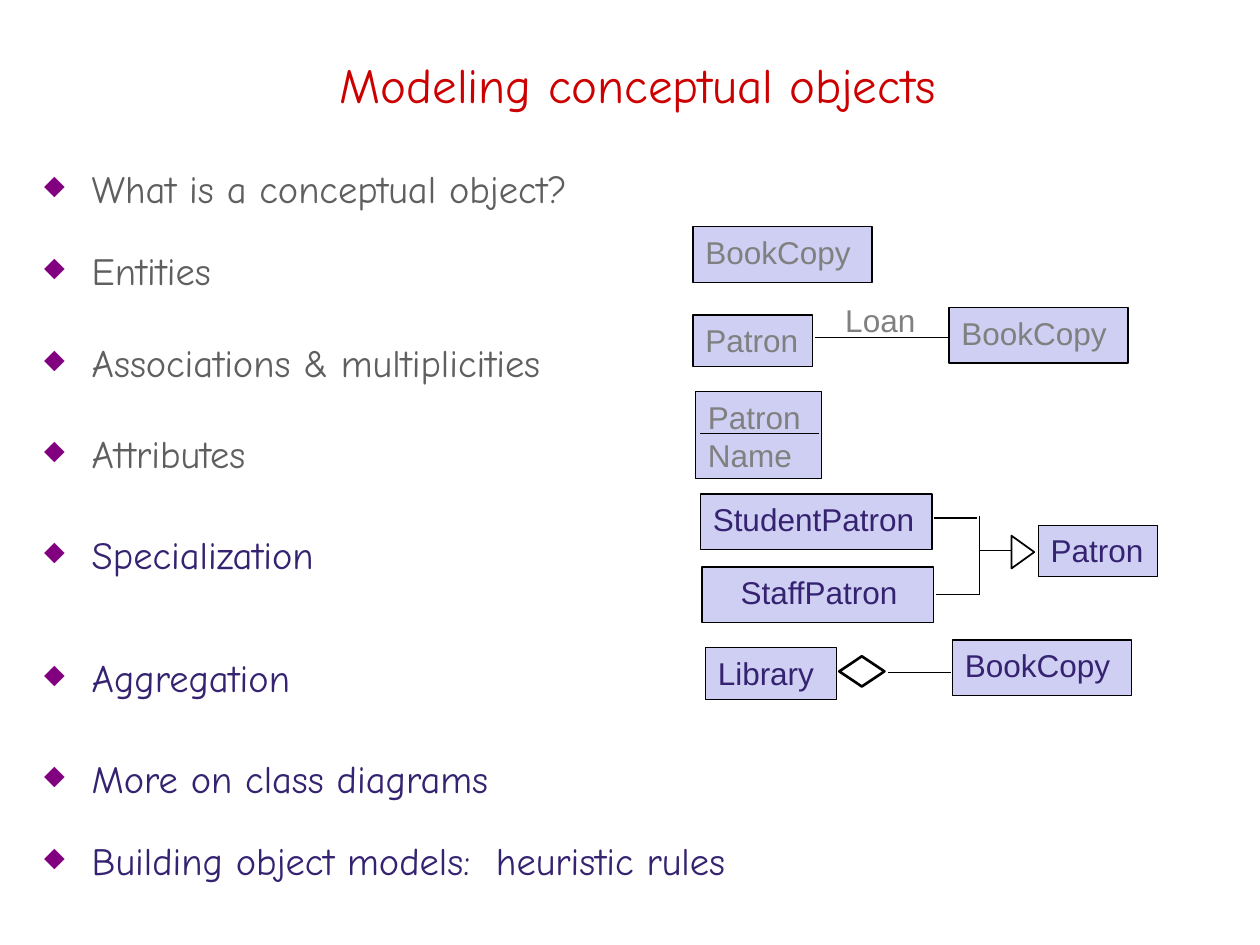
"""Build the slide on modeling conceptual objects."""
import lxml.etree
import pptx
import pptx.dml.color
import pptx.enum.shapes
import pptx.enum.text
import pptx.oxml.ns
import pptx.util

Cm = pptx.util.Cm
Pt = pptx.util.Pt
SHAPES = pptx.enum.shapes.MSO_SHAPE
RED, GRAY, INDIGO, PURPLE = "CC0000", "5F5F5F", "352270", "800080"
LABEL_GRAY, LAVENDER, BLACK = "808080", "CECFF2", "000000"


def color(value):
    return pptx.dml.color.RGBColor.from_string(value)


def style(para, name, size, value):
    para.font.name = name
    para.font.size = Pt(size)
    para.font.color.rgb = color(value)


deck = pptx.Presentation()
deck.slide_width, deck.slide_height = Cm(25.4), Cm(19.05)
page = deck.slides.add_slide(deck.slide_layouts[6])

title = page.shapes.add_textbox(Cm(0.84), Cm(0.64), Cm(24.03), Cm(2.11)).text_frame
title.word_wrap = True
title.vertical_anchor = pptx.enum.text.MSO_ANCHOR.MIDDLE
title.text = "Modeling conceptual objects"
title.paragraphs[0].alignment = pptx.enum.text.PP_ALIGN.CENTER
style(title.paragraphs[0], "Comic Neue", 28, RED)

topics = [
    ("What is a conceptual object?", 1.1, GRAY),
    ("Entities", 1.4, GRAY),
    ("Associations & multiplicities", 1.6, GRAY),
    ("Attributes", 1.6, GRAY),
    ("Specialization", 1.8, INDIGO),
    ("Aggregation", 2.3, INDIGO),
    ("More on class diagrams", 1.8, INDIGO),
    ("Building object models:  heuristic rules", 1.4, INDIGO),
]
body = page.shapes.add_textbox(Cm(0.64), Cm(3.61), Cm(15.77), Cm(13.82)).text_frame
body.word_wrap = True
body.vertical_anchor = pptx.enum.text.MSO_ANCHOR.MIDDLE
body.text = "\n".join(topic[0] for topic in topics)
for index, (para, (text, spacing, value)) in enumerate(zip(body.paragraphs, topics)):
    para.line_spacing = spacing
    para.space_before = Pt(10 if index else 0)
    properties = para._p.get_or_add_pPr()
    properties.set("marL", str(Cm(0.96)))
    properties.set("indent", str(-Cm(0.96)))
    bullet_color = lxml.etree.SubElement(properties, pptx.oxml.ns.qn("a:buClr"))
    lxml.etree.SubElement(bullet_color, pptx.oxml.ns.qn("a:srgbClr"), val=PURPLE)
    lxml.etree.SubElement(properties, pptx.oxml.ns.qn("a:buSzPct"), val="70000")
    lxml.etree.SubElement(properties, pptx.oxml.ns.qn("a:buChar"), char="◆")
    style(para, "Comic Neue", 22, value)

classes = [
    ("BookCopy", 13.97, 4.57, 3.61, 1.12, LABEL_GRAY),
    ("Patron", 13.97, 6.35, 2.41, 1.04, LABEL_GRAY),
    ("BookCopy", 19.13, 6.2, 3.61, 1.12, LABEL_GRAY),
    ("Patron\nName", 14.02, 7.9, 2.54, 1.75, LABEL_GRAY),
    ("StudentPatron", 14.12, 9.96, 4.67, 1.12, INDIGO),
    ("StaffPatron", 14.15, 11.43, 4.67, 1.12, INDIGO),
    ("Patron", 20.93, 10.59, 2.41, 1.04, INDIGO),
    ("Library", 14.22, 13.06, 2.64, 1.04, INDIGO),
    ("BookCopy", 19.2, 12.9, 3.61, 1.12, INDIGO),
]
for text, left, top, width, height, value in classes:
    box = page.shapes.add_shape(SHAPES.RECTANGLE, Cm(left), Cm(top), Cm(width), Cm(height))
    box.shadow.inherit = False
    box.fill.solid()
    box.fill.fore_color.rgb = color(LAVENDER)
    box.line.color.rgb = color(BLACK)
    box.line.width = Pt(0.75)
    frame = box.text_frame
    frame.word_wrap = True
    frame.vertical_anchor = pptx.enum.text.MSO_ANCHOR.TOP
    frame.margin_left = Cm(0.78 if text == "StaffPatron" else 0.25)
    frame.margin_right = 0
    frame.text = text
    for para in frame.paragraphs:
        para.alignment = pptx.enum.text.PP_ALIGN.LEFT
        style(para, "Arial", 18, value)

loan = page.shapes.add_textbox(Cm(16.79), Cm(5.94), Cm(2.11), Cm(1.04)).text_frame
loan.word_wrap = True
loan.text = "Loan"
style(loan.paragraphs[0], "Arial", 18, LABEL_GRAY)

symbols = [
    (SHAPES.ISOSCELES_TRIANGLE, 20.29, 10.9, 0.66, 0.46, 90, 1),
    (SHAPES.FLOWCHART_DECISION, 16.92, 13.23, 0.91, 0.61, 0, 1.5),
]
for kind, left, top, width, height, rotation, weight in symbols:
    symbol = page.shapes.add_shape(kind, Cm(left), Cm(top), Cm(width), Cm(height))
    symbol.shadow.inherit = False
    symbol.rotation = rotation
    symbol.fill.background()
    symbol.line.color.rgb = color(BLACK)
    symbol.line.width = Pt(weight)

links = [
    (16.43, 6.81, 19.13, 6.81, 0.75),
    (14.12, 8.74, 16.51, 8.74, 0.75),
    (20.4, 11.1, 19.76, 11.1, 1),
    (19.74, 10.41, 19.74, 11.99, 0.75),
    (19.74, 11.99, 18.87, 11.99, 0.75),
    (19.69, 10.44, 18.82, 10.44, 0.75),
    (17.91, 13.56, 19.18, 13.56, 0.75),
]
for start_x, start_y, end_x, end_y, weight in links:
    link = page.shapes.add_connector(
        pptx.enum.shapes.MSO_CONNECTOR.STRAIGHT,
        Cm(start_x), Cm(start_y), Cm(end_x), Cm(end_y))
    link.line.color.rgb = color(BLACK)
    link.line.width = Pt(weight)
    lxml.etree.SubElement(link._element.spPr, pptx.oxml.ns.qn("a:effectLst"))

deck.save("out.pptx")
